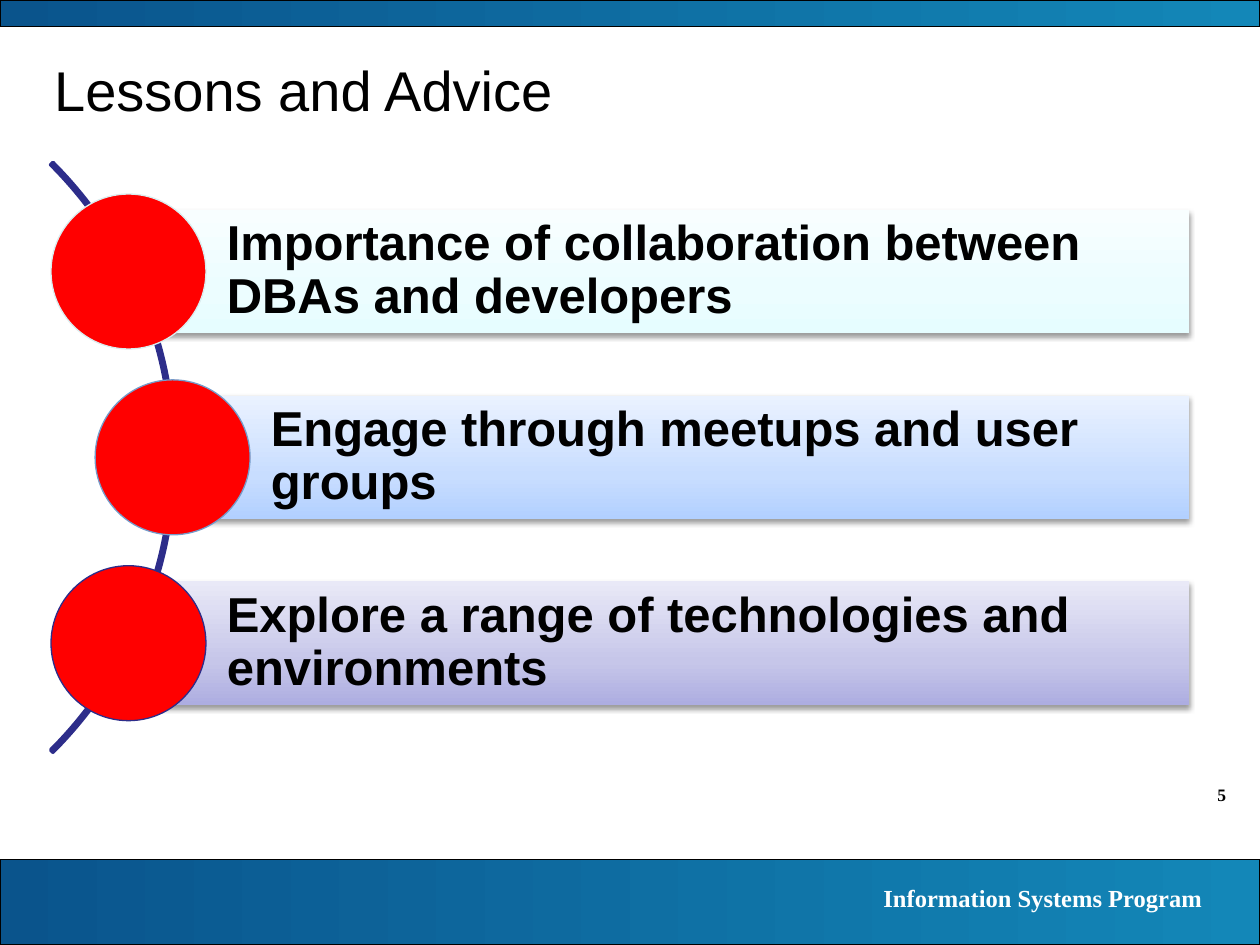
"""Build the "Lessons and Advice" slide: three bars with balls along an arc."""
from dataclasses import dataclass

from lxml import etree
from pptx import Presentation
from pptx.dml.color import RGBColor
from pptx.enum.shapes import MSO_SHAPE
from pptx.enum.text import MSO_ANCHOR, PP_ALIGN
from pptx.oxml.ns import qn
from pptx.util import Inches, Pt

RECT, OVAL, ARC = MSO_SHAPE.RECTANGLE, MSO_SHAPE.OVAL, MSO_SHAPE.BLOCK_ARC
LEFT, RIGHT = PP_ALIGN.LEFT, PP_ALIGN.RIGHT
MIDDLE, TOP = MSO_ANCHOR.MIDDLE, MSO_ANCHOR.TOP


@dataclass(frozen=True)
class Theme:
    sans: str = "Arial"
    serif: str = "Times New Roman"
    ink: str = "000000"
    paper: str = "FFFFFF"
    ball: str = "FF0000"
    arc: str = "2D2D8A"
    band: tuple = ((0, "0A548C"), (100, "1387B8"))
    title_size: int = 32
    lesson_size: int = 28
    footer_size: int = 14
    number_size: int = 10


THEME = Theme()
WIDTH, HEIGHT = 10, 7.5
TITLE = "Lessons and Advice"
FOOTER = "Information Systems Program"
PAGE = "5"
LESSONS = [
    ("Importance of collaboration between DBAs and developers", 1.02,
     ((0, "E6FDFF"), (35, "ECFDFF"), (100, "F8FEFF")), "DAEDEF"),
    ("Engage through meetups and user groups", 1.37,
     ((0, "B2D0FF"), (35, "C8DDFF"), (100, "EAF2FF")), "759CCB"),
    ("Explore a range of technologies and environments", 1.02,
     ((0, "ADADE1"), (35, "C6C6E9"), (100, "E9E9F7")), "2D2D8A"),
]
BANDS = [(0, 0.21), (6.82, 0.68)]
MIDDLE_Y, PITCH = 3.63, 1.475
BAR_RIGHT, BAR_HEIGHT, BALL = 9.44, 0.98, 1.23
ARC_SIZE, ARC_CENTER_X = 6.62, -1.92


def add_shape(slide, kind, box, outline=None, weight=0.75):
    shape = slide.shapes.add_shape(kind, *map(Inches, box))
    shape.shadow.inherit = False
    if outline:
        shape.line.color.rgb = RGBColor.from_string(outline)
        shape.line.width = Pt(weight)
    else:
        shape.line.fill.background()
    return shape


def fill_gradient(shape, stops, angle):
    shape.fill.gradient()
    shape.fill.gradient_angle = angle
    stop_list = shape._element.spPr.find(qn("a:gradFill")).find(qn("a:gsLst"))
    for old_stop in list(stop_list):
        stop_list.remove(old_stop)
    for percent, color in stops:
        stop = etree.SubElement(stop_list, qn("a:gs"), pos=str(percent * 1000))
        etree.SubElement(stop, qn("a:srgbClr"), val=color)


def add_shadow(shape):
    effects = shape._element.spPr.find(qn("a:effectLst"))
    shadow = etree.SubElement(
        effects, qn("a:outerShdw"), blurRad=str(Pt(3.1)), dist=str(Pt(1.6)),
        dir="5400000", rotWithShape="0")
    color = etree.SubElement(shadow, qn("a:srgbClr"), val=THEME.ink)
    etree.SubElement(color, qn("a:alpha"), val="38000")


def write(holder, text, font, size, color, align=LEFT, anchor=TOP, bold=False):
    frame = holder.text_frame
    frame.word_wrap = True
    frame.vertical_anchor = anchor
    paragraph = frame.paragraphs[0]
    paragraph.alignment = align
    run = paragraph.add_run()
    run.text = text
    run.font.name, run.font.size, run.font.bold = font, Pt(size), bold
    run.font.color.rgb = RGBColor.from_string(color)
    return frame


def add_label(slide, box, text, size, color):
    label = slide.shapes.add_textbox(*map(Inches, box))
    write(label, text, THEME.serif, size, color, RIGHT, bold=True)


def add_lesson(slide, row, text, left, stops, outline):
    center_y = MIDDLE_Y + (row - (len(LESSONS) - 1) / 2) * PITCH
    bar = add_shape(slide, RECT, (left, center_y - BAR_HEIGHT / 2,
                                  BAR_RIGHT - left, BAR_HEIGHT))
    fill_gradient(bar, stops, 90)
    add_shadow(bar)
    frame = write(bar, text, THEME.sans, THEME.lesson_size, THEME.ink,
                  anchor=MIDDLE, bold=True)
    frame.margin_left = Inches(0.78)
    frame.margin_right = frame.margin_top = frame.margin_bottom = Inches(0.08)
    frame.paragraphs[0].line_spacing = 0.9
    ball = add_shape(slide, OVAL, (left - BALL / 2, center_y - BALL / 2,
                                   BALL, BALL), outline)
    ball.fill.solid()
    ball.fill.fore_color.rgb = RGBColor.from_string(THEME.ball)


def main():
    deck = Presentation()
    deck.slide_width, deck.slide_height = Inches(WIDTH), Inches(HEIGHT)
    slide = deck.slides.add_slide(deck.slide_layouts[5])

    for top, height in BANDS:
        band = add_shape(slide, RECT, (0, top, WIDTH, height), THEME.ink)
        fill_gradient(band, THEME.band, 0)
    add_label(slide, (9, 6.17, 0.83, 0.27), PAGE, THEME.number_size, THEME.ink)
    add_label(slide, (5.55, 6.96, 4.09, 0.34), FOOTER, THEME.footer_size,
              THEME.paper)

    title = slide.shapes.title
    title.left, title.top = Inches(0.33), Inches(0.33)
    title.width, title.height = Inches(9.17), Inches(0.75)
    write(title, TITLE, THEME.sans, THEME.title_size, THEME.ink, anchor=MIDDLE)

    arc = add_shape(slide, ARC, (ARC_CENTER_X - ARC_SIZE / 2,
                                 MIDDLE_Y - ARC_SIZE / 2, ARC_SIZE, ARC_SIZE),
                    THEME.arc, 2)
    arc.fill.background()
    for index, value in enumerate((189, 27, 0.004)):
        arc.adjustments[index] = value

    for row, lesson in enumerate(LESSONS):
        add_lesson(slide, row, *lesson)
    deck.save("out.pptx")


if __name__ == "__main__":
    main()
